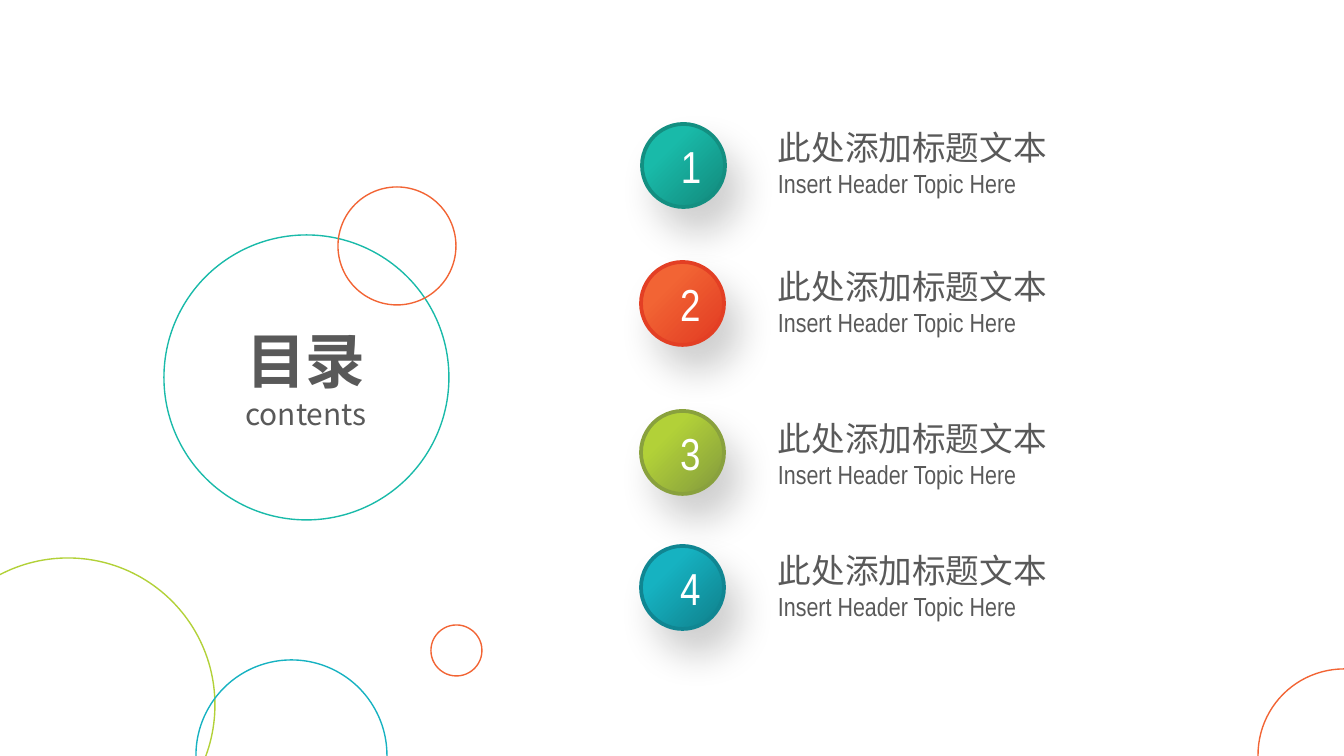
from lxml import etree
from pptx import Presentation
from pptx import util as u
from pptx.dml.color import RGBColor
from pptx.enum import shapes, text
from pptx.oxml import ns

PX = 914400 / 134.4

TEAL, DARK_TEAL = RGBColor(0x19, 0xBA, 0xA9), RGBColor(0x13, 0x8F, 0x81)
ORANGE, RED = RGBColor(0xF2, 0x64, 0x34), RGBColor(0xE3, 0x3F, 0x24)
LIME, OLIVE = RGBColor(0xB2, 0xD1, 0x38), RGBColor(0x89, 0xA1, 0x3D)
CYAN, DARK_CYAN = RGBColor(0x16, 0xB2, 0xC1), RGBColor(0x10, 0x86, 0x92)
GRAY = RGBColor(0x59, 0x59, 0x59)
WHITE = RGBColor(0xFF, 0xFF, 0xFF)
CJK, NARROW = "Noto Sans CJK SC", "Arial Narrow"

SHADOW = (
    f'<a:outerShdw {ns.nsdecls("a")} blurRad="254000" dist="190500" '
    'dir="3540000" algn="tl" rotWithShape="0">'
    '<a:srgbClr val="0D0D0D"><a:alpha val="20000"/></a:srgbClr></a:outerShdw>'
)


def px(*lengths):
    return [u.Emu(round(n * PX)) for n in lengths]


def write(box, lines, *, color=GRAY, align=text.PP_ALIGN.LEFT, inset=13,
          anchor=text.MSO_ANCHOR.TOP):
    """Fill box with lines of (words, size, font, bold), one paragraph each."""
    frame = box.text_frame
    frame.word_wrap = True
    frame.auto_size = text.MSO_AUTO_SIZE.NONE
    frame.vertical_anchor = anchor
    frame.margin_left, frame.margin_right = px(inset, 13)
    frame.margin_top, frame.margin_bottom = px(7, 7)
    for i, (words, size, font, bold) in enumerate(lines):
        paragraph = frame.add_paragraph() if i else frame.paragraphs[0]
        paragraph.alignment = align
        run = paragraph.add_run()
        run.text = words
        run.font.size, run.font.name, run.font.bold = u.Pt(size), font, bold
        run.font.color.rgb = color
        latin = run.font._element.find(ns.qn("a:latin"))
        east_asian = etree.Element(ns.qn("a:ea"), typeface=font)
        latin.addnext(east_asian)


deck = Presentation()
deck.slide_width, deck.slide_height = px(1344, 756)
slide = deck.slides.add_slide(deck.slide_layouts[5])

# Outlined bubbles: left, top, diameter, colour
bubbles = [
    (164, 235, 285, TEAL),
    (-79, 558, 294, LIME),
    (338, 187, 118, ORANGE),
    (196, 660, 191, CYAN),
    (431, 625, 51, ORANGE),
    (1258, 669, 172, ORANGE),
]
for left, top, diameter, color in bubbles:
    bubble = slide.shapes.add_shape(
        shapes.MSO_SHAPE.OVAL, *px(left, top, diameter, diameter))
    bubble.shadow.inherit = False
    bubble.fill.background()
    bubble.line.color.rgb = color
    bubble.line.width = u.Pt(0.75)

heading = slide.shapes.title
heading.left, heading.top, heading.width, heading.height = px(220, 317, 172, 122)
write(heading, [("目录", 32, CJK, True), ("contents", 16, CJK, False)],
      align=text.PP_ALIGN.CENTER)

# Contents entries: badge left, badge top, label top, light and dark colours
entries = [
    (642, 124, 120, TEAL, DARK_TEAL),
    (641, 262, 259, ORANGE, RED),
    (641, 411, 411, LIME, OLIVE),
    (641, 546, 543, CYAN, DARK_CYAN),
]
for number, (left, top, label_top, light, dark) in enumerate(entries, 1):
    badge = slide.shapes.add_shape(shapes.MSO_SHAPE.OVAL, *px(left, top, 83, 83))
    badge.fill.gradient()
    badge.fill.gradient_angle = 315
    for stop, position, color in zip(
            badge.fill.gradient_stops, (0.3, 0.9), (light, dark)):
        stop.position = position
        stop.color.rgb = color
    badge.line.color.rgb = dark
    badge.line.width = u.Pt(2)
    badge.shadow.inherit = False
    effects = badge._element.spPr.find(ns.qn("a:effectLst"))
    effects.append(etree.fromstring(SHADOW))

    numeral = slide.shapes.add_textbox(*px(left + 26, top + 8, 32, 67))
    write(numeral, [(str(number), 24, NARROW, False)], color=WHITE,
          align=text.PP_ALIGN.CENTER)

    label = slide.shapes.add_textbox(*px(778, label_top, 360, 86))
    write(label, [("此处添加标题文本", 18, CJK, False),
                  ("Insert Header Topic Here", 14, NARROW, False)], inset=0)

deck.save("out.pptx")
